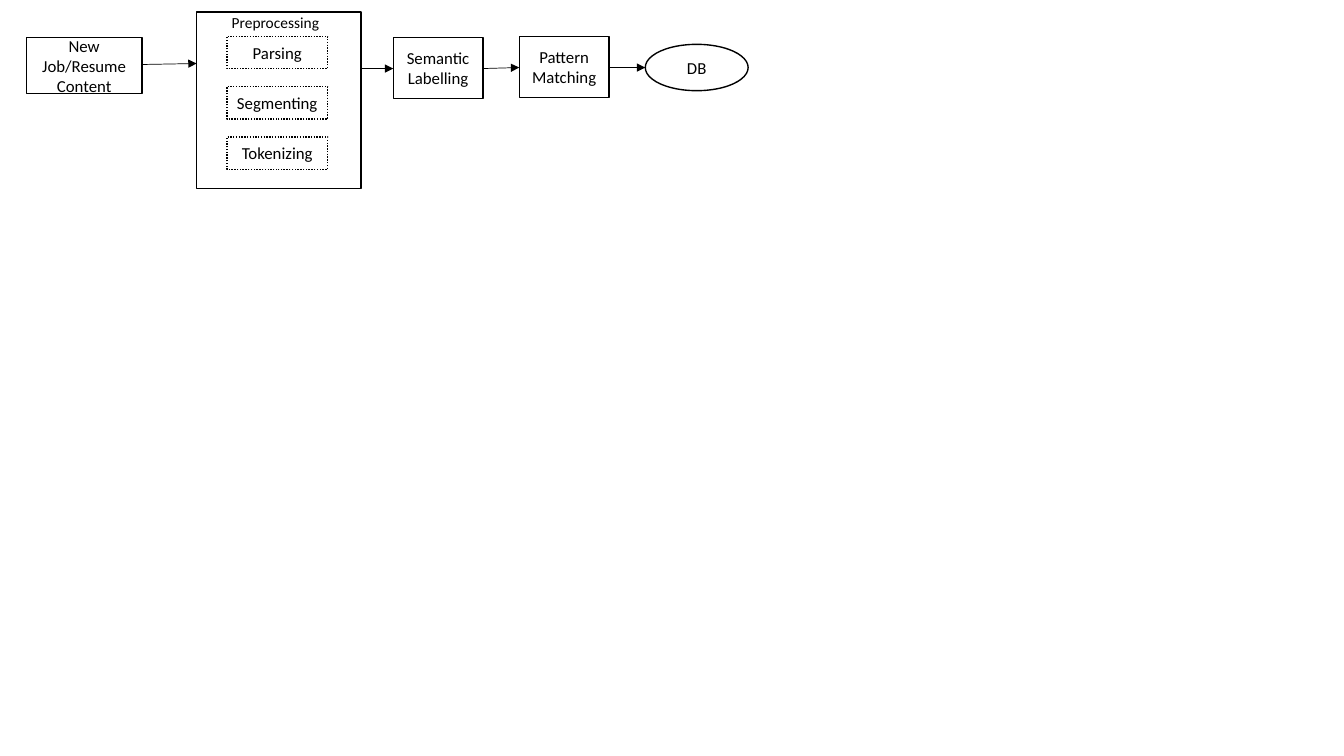
from dataclasses import dataclass

from lxml import etree
from pptx import Presentation
from pptx import util as u
from pptx.dml.color import RGBColor
from pptx.enum import dml, shapes, text
from pptx.oxml.ns import qn


@dataclass(frozen=True)
class Theme:
    """Hold the colours, font, type sizes and line widths of the slide."""
    ink: RGBColor = RGBColor(0, 0, 0)
    paper: RGBColor = RGBColor(255, 255, 255)
    font: str = "Calibri"
    step_size: float = 12
    heading_size: float = 11
    outline: float = 1
    arrow: float = 0.5


THEME = Theme()
RECT = shapes.MSO_SHAPE.RECTANGLE
OVAL = shapes.MSO_SHAPE.OVAL


def write(tf, words, size, align, anchor):
    """Write one formatted paragraph into a text frame."""
    tf.word_wrap = True
    tf.vertical_anchor = anchor
    p = tf.paragraphs[0]
    p.alignment = align
    r = p.add_run()
    r.text = words
    for name, value in {"name": THEME.font, "size": u.Pt(size)}.items():
        setattr(r.font, name, value)
    r.font.color.rgb = THEME.ink


def add_node(s, box, words="", kind=RECT, dash=None):
    """Add an outlined shape with an optional centred label."""
    sp = s.shapes.add_shape(kind, *map(u.Inches, box))
    sp.shadow.inherit = False
    sp.fill.solid()
    sp.fill.fore_color.rgb = THEME.paper
    sp.line.color.rgb = THEME.ink
    for name, value in {"width": u.Pt(THEME.outline), "dash_style": dash}.items():
        setattr(sp.line, name, value)
    if words:
        write(sp.text_frame, words, THEME.step_size,
              text.PP_ALIGN.CENTER, text.MSO_ANCHOR.MIDDLE)


def add_arrow(s, start, end):
    """Add a thin arrow from one point to another."""
    c = s.shapes.add_connector(shapes.MSO_CONNECTOR.STRAIGHT,
                               *map(u.Inches, (*start, *end)))
    c.line.color.rgb = THEME.ink
    c.line.width = u.Pt(THEME.arrow)
    etree.SubElement(c.line._get_or_add_ln(), qn("a:tailEnd"), type="triangle")
    etree.SubElement(c._element.spPr, qn("a:effectLst"))


def add_preprocessing(s, box):
    """Add the preprocessing frame with its heading and evenly spaced steps."""
    left, top, _, _ = box
    add_node(s, box)
    for i, step in enumerate(("Parsing", "Segmenting", "Tokenizing")):
        add_node(s, (left + 0.3, top + 0.24 + 0.5 * i, 1, 0.32), step,
                 dash=dml.MSO_LINE.ROUND_DOT)
    heading = (left + 0.25, top - 0.04, 1.84, 0.29)
    tf = s.shapes.add_textbox(*map(u.Inches, heading)).text_frame
    write(tf, "Preprocessing", THEME.heading_size,
          text.PP_ALIGN.LEFT, text.MSO_ANCHOR.TOP)
    tf.auto_size = text.MSO_AUTO_SIZE.SHAPE_TO_FIT_TEXT


def add_pipeline(s, box):
    """Add the whole flow from new content to the database."""
    left, top, _, _ = box
    nodes = (
        ((0, 0.25, 1.15, 0.56), "New Job/Resume Content", RECT),
        ((3.64, 0.25, 0.89, 0.61), "Semantic Labelling", RECT),
        ((4.89, 0.24, 0.89, 0.61), "Pattern Matching", RECT),
        ((6.14, 0.32, 1.02, 0.46), "DB", OVAL),
    )
    for (x, y, w, h), words, kind in nodes:
        add_node(s, (left + x, top + y, w, h), words, kind)
    add_preprocessing(s, (left + 1.69, top, 1.63, 1.75))
    arrows = (
        ((1.15, 0.52), (1.69, 0.51)),
        ((3.32, 0.56), (3.64, 0.56)),
        ((4.53, 0.56), (4.89, 0.55)),
        ((5.78, 0.55), (6.14, 0.55)),
    )
    for ends in arrows:
        add_arrow(s, *((left + x, top + y) for x, y in ends))


def main():
    """Build the slide and save it."""
    prs = Presentation()
    prs.slide_width, prs.slide_height = u.Inches(13.33), u.Inches(7.5)
    s = prs.slides.add_slide(prs.slide_layouts.get_by_name("Blank"))
    add_pipeline(s, (0.26, 0.12, 7.16, 1.75))
    prs.save("out.pptx")


if __name__ == "__main__":
    main()
